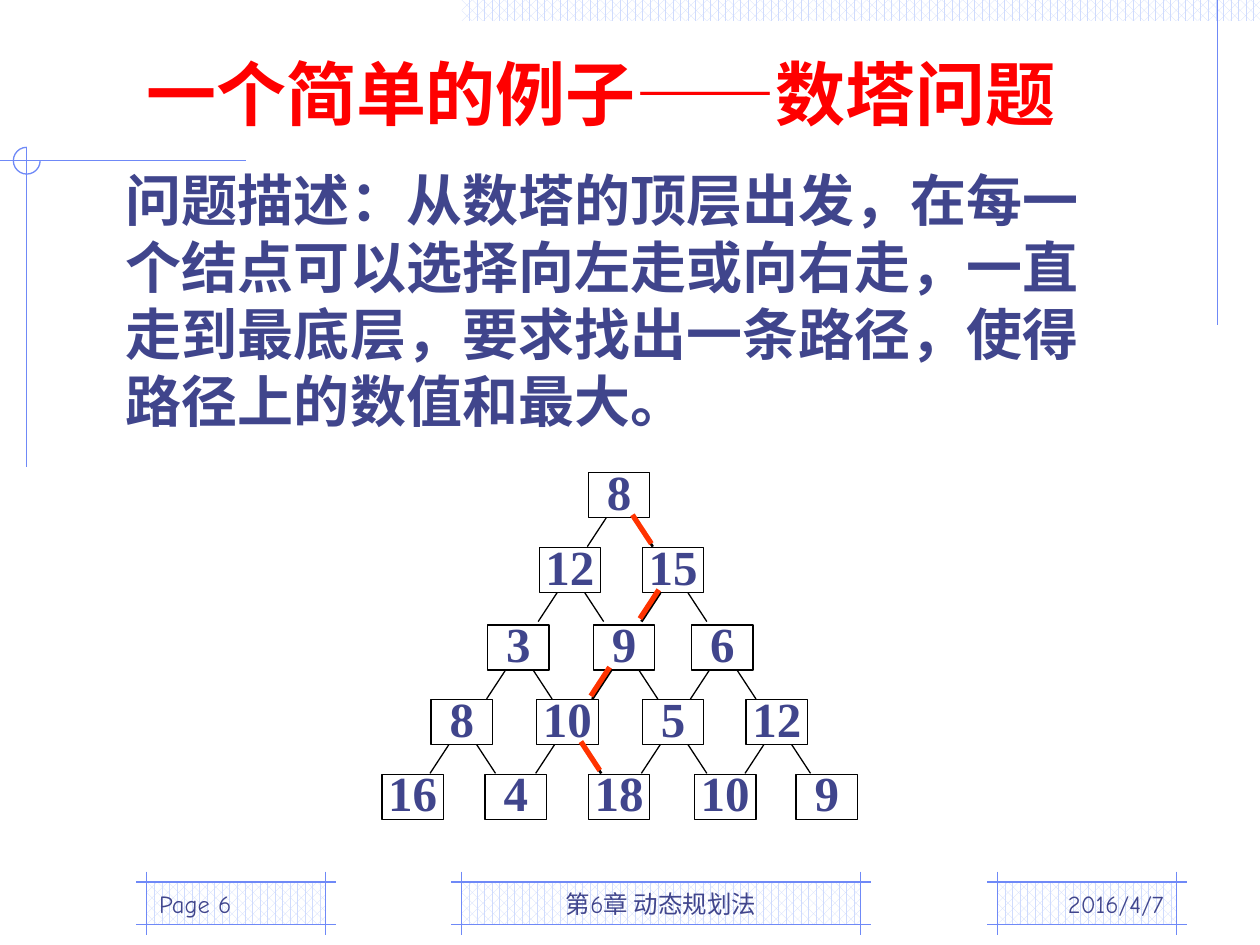
import pptx
import pptx.dml.color
import pptx.enum.dml
import pptx.enum.shapes
import pptx.enum.text
import pptx.oxml
import pptx.oxml.ns
import pptx.util

Cm, Pt = pptx.util.Cm, pptx.util.Pt
SHAPE = pptx.enum.shapes.MSO_SHAPE
ALIGN = pptx.enum.text.PP_ALIGN
ANCHOR = pptx.enum.text.MSO_ANCHOR

COLORS = {
    "white": "FFFFFF", "black": "000000", "red": "FF0000", "path": "FF3300",
    "text": "40458C", "frame": "6F89F7", "pattern": "CFDBFD",
}
CJK = "Noto Sans CJK SC"
TITLE = {"name": CJK, "size": Pt(40), "bold": True}
BODY = {"name": "Times New Roman", "size": Pt(32), "bold": True}
NODE = {"name": "Times New Roman", "size": Pt(28), "bold": True}
FOOTER = {"name": "Comic Neue", "size": Pt(14), "bold": False}

BOX_W, BOX_H = 1.24, 0.91
# Each level: top, then (left, value) of its boxes
TOWER = [
    (9.53, [(11.86, 8)]),
    (11.04, [(10.87, 12), (12.95, 15)]),
    (12.6, [(9.83, 3), (11.96, 9), (13.94, 6)]),
    (14.1, [(8.69, 8), (10.82, 10), (12.95, 5), (15.04, 12)]),
    (15.61, [(7.7, 16), (9.78, 4), (11.86, 18), (14, 10), (16.05, 9)]),
]
# Level, box and side (-1 left, 1 right) of each step on the best path
BEST_PATH = [(0, 0, 1), (1, 1, -1), (2, 1, -1), (3, 1, 1)]


def rgb(name):
    return pptx.dml.color.RGBColor.from_string(COLORS[name])


def add_line(s, x1, y1, x2, y2, color="frame", width=0.75):
    c = s.shapes.add_connector(pptx.enum.shapes.MSO_CONNECTOR.STRAIGHT,
                               Cm(x1), Cm(y1), Cm(x2), Cm(y2))
    c.line.color.rgb = rgb(color)
    c.line.width = Pt(width)
    c._element.spPr.append(pptx.oxml.parse_xml(
        "<a:effectLst %s/>" % pptx.oxml.ns.nsdecls("a")))


def add_pattern(s, x, y, w, h):
    sp = s.shapes.add_shape(SHAPE.RECTANGLE, Cm(x), Cm(y), Cm(w), Cm(h))
    sp.shadow.inherit = False
    sp.fill.patterned()
    sp.fill.pattern = pptx.enum.dml.MSO_PATTERN.PERCENT_60
    sp.fill.fore_color.rgb = rgb("pattern")
    sp.fill.back_color.rgb = rgb("white")
    sp.line.fill.background()


def add_footer_frame(s, x, w):
    """Patterned strip whose border lines cross at the corners."""
    y, h, over = 17.78, 0.85, 0.21
    add_pattern(s, x, y, w, h)
    for line_y in (y, y + h):
        add_line(s, x - over, line_y, x + w + over, line_y)
    for line_x in (x, x + w):
        add_line(s, line_x, y - over, line_x, y + h + over)


def write(tf, text, font, color="text", align=ALIGN.LEFT, spacing=None):
    p = tf.paragraphs[0]
    p.alignment = align
    p.line_spacing = spacing
    r = p.add_run()
    r.text = text
    for key, value in font.items():
        setattr(r.font, key, value)
    r.font.color.rgb = rgb(color)
    r.font._element.find(pptx.oxml.ns.qn("a:latin")).addnext(
        pptx.oxml.parse_xml('<a:ea %s typeface="%s"/>'
                            % (pptx.oxml.ns.nsdecls("a"), CJK)))


def add_text(s, x, y, w, h, text, font, anchor=ANCHOR.TOP, **style):
    tf = s.shapes.add_textbox(Cm(x), Cm(y), Cm(w), Cm(h)).text_frame
    tf.word_wrap = True
    tf.vertical_anchor = anchor
    if anchor == ANCHOR.TOP:
        tf.margin_top = Cm(0.22)
    write(tf, text, font, **style)


def add_node(s, x, y, value):
    sp = s.shapes.add_shape(SHAPE.RECTANGLE, Cm(x), Cm(y), Cm(BOX_W), Cm(BOX_H))
    sp.shadow.inherit = False
    sp.fill.solid()
    sp.fill.fore_color.rgb = rgb("white")
    sp.line.color.rgb = rgb("black")
    sp.line.width = Pt(0.75)
    tf = sp.text_frame
    tf.vertical_anchor = ANCHOR.TOP
    for side in ("left", "top", "right", "bottom"):
        setattr(tf, "margin_" + side, 0)
    write(tf, str(value), NODE, align=ALIGN.CENTER, spacing=0.8)


def add_edge(s, level, box, side, dx=0, dy=0, **style):
    """Slanted line from the lower edge of a box towards the next level."""
    top, boxes = TOWER[level]
    x = boxes[box][0] + BOX_W / 2 + 0.02 + side * 0.28 + dx
    y = top + BOX_H + dy
    add_line(s, x, y, x + side * 0.38, y + 0.58, **style)


def add_tower(s):
    for top, boxes in TOWER:
        for left, value in boxes:
            add_node(s, left, top, value)
    for level, (_, boxes) in enumerate(TOWER[:-1]):
        for box in range(len(boxes)):
            for side in (-1, 1):
                width = 1.5 if (level, box, side) in BEST_PATH else 0.75
                add_edge(s, level, box, side, color="black", width=width)
    for step in BEST_PATH:
        add_edge(s, *step, dx=-0.03, dy=-0.06, color="path", width=3)


def add_decoration(s):
    add_pattern(s, 9.31, 0, 16.09, 0.42)
    for x, w in ((9.31, 8.04), (20.11, 3.6), (2.96, 3.6)):
        add_footer_frame(s, x, w)
    add_line(s, 24.55, 0, 24.55, 6.56)
    add_line(s, 4.95, 3.24, 0, 3.24)
    add_line(s, 0.54, 2.97, 0.54, 9.42)
    arc = s.shapes.add_shape(SHAPE.ARC, Cm(0.27), Cm(2.97), Cm(0.54), Cm(0.54))
    arc.shadow.inherit = False
    arc.adjustments[0] = 0
    arc.adjustments[1] = 162  # 270 degrees
    arc.fill.background()
    arc.line.color.rgb = rgb("frame")
    arc.line.width = Pt(0.75)


def main():
    prs = pptx.Presentation()
    prs.slide_width, prs.slide_height = Cm(25.4), Cm(19.05)
    s = prs.slides.add_slide(prs.slide_layouts[6])
    add_decoration(s)
    add_text(s, 2.7, 0.79, 20.6, 1.96, "一个简单的例子——数塔问题", TITLE,
             color="red", spacing=Pt(48))
    add_text(s, 2.29, 3.12, 20.6, 5.74,
             "问题描述：从数塔的顶层出发，在每一个结点可以选择向左走或向右走，"
             "一直走到最底层，要求找出一条路径，使得路径上的数值和最大。",
             BODY, spacing=Pt(38.3))
    add_tower(s)
    for x, w, text, align in (
            (18.42, 5.29, "2016/4/7", ALIGN.RIGHT),
            (9.31, 8.04, "第6章 动态规划法", ALIGN.CENTER),
            (2.96, 5.29, "Page 6", ALIGN.LEFT)):
        add_text(s, x, 17.36, w, 1.27, text, FOOTER, ANCHOR.BOTTOM, align=align)
    prs.save("out.pptx")


if __name__ == "__main__":
    main()
